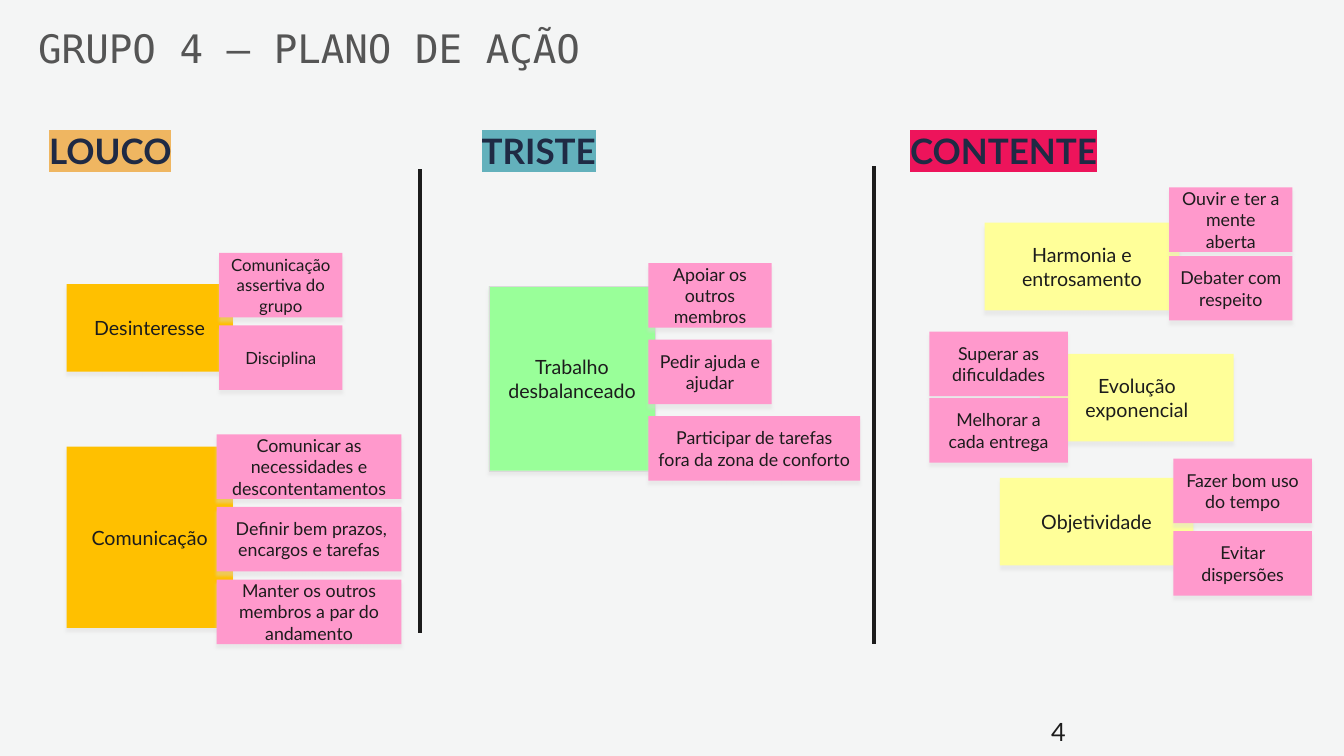
from dataclasses import dataclass

from lxml import etree
from pptx import Presentation
from pptx.dml.color import RGBColor
from pptx.enum.shapes import MSO_CONNECTOR, MSO_SHAPE
from pptx.enum.text import MSO_ANCHOR, PP_ALIGN
from pptx.oxml.ns import qn
from pptx.util import Pt


@dataclass(frozen=True)
class Theme:
    background: str = "F4F5F5"
    title: str = "555555"
    heading: str = "1F2A44"
    ink: str = "1C1C1C"
    shadow: str = "D9D9D9"
    orange: str = "FFC000"
    green: str = "99FF99"
    yellow: str = "FFFF99"
    pink: str = "FF99CC"
    louco: str = "EFB661"
    triste: str = "63B1BC"
    contente: str = "ED145B"
    title_font: str = "DejaVu Sans Mono"
    body_font: str = "Lato"
    title_size: float = 28
    heading_size: float = 25
    number_size: float = 18
    cause_size: float = 14
    action_size: float = 12.7
    small_action_size: float = 12


theme = Theme()

presentation = Presentation()
presentation.slide_width = Pt(960)
presentation.slide_height = Pt(540)
slide = presentation.slides.add_slide(presentation.slide_layouts[6])
slide.background.fill.solid()
slide.background.fill.fore_color.rgb = RGBColor.from_string(theme.background)


def write_text(shape, text, size, color, font=theme.body_font):
    shape.text_frame.word_wrap = True
    paragraph = shape.text_frame.paragraphs[0]
    paragraph.text = text
    run = paragraph.runs[0]
    run.font.size = Pt(size)
    run.font.color.rgb = RGBColor.from_string(color)
    run.font.name = font
    return paragraph


def add_note(box, text, size, color):
    note = slide.shapes.add_shape(MSO_SHAPE.RECTANGLE, *(Pt(length) for length in box))
    note.fill.solid()
    note.fill.fore_color.rgb = RGBColor.from_string(color)
    note.line.fill.background()
    note.shadow.inherit = False
    effects = note._element.spPr.find(qn("a:effectLst"))
    shadow = etree.SubElement(effects, qn("a:outerShdw"), blurRad=str(Pt(2)),
                              dist=str(Pt(3)), dir="5400000", rotWithShape="0")
    shadow_color = etree.SubElement(shadow, qn("a:srgbClr"), val=theme.shadow)
    etree.SubElement(shadow_color, qn("a:alpha"), val="40000")
    note.text_frame.vertical_anchor = MSO_ANCHOR.MIDDLE
    write_text(note, text, size, theme.ink).alignment = PP_ALIGN.CENTER
    return note


# Title
title = slide.shapes.add_textbox(Pt(20.2), Pt(13.7), Pt(774), Pt(89.3))
write_text(title, "GRUPO 4 – PLANO DE AÇÃO", theme.title_size, theme.title,
           theme.title_font).space_after = Pt(6)

# Column headings
for text, left, color in [("LOUCO", 28.1, theme.louco),
                          ("TRISTE", 337, theme.triste),
                          ("CONTENTE", 643, theme.contente)]:
    heading = slide.shapes.add_textbox(Pt(left), Pt(92.2), Pt(289), Pt(43))
    paragraph = write_text(heading, text, theme.heading_size, theme.heading)
    paragraph.line_spacing = 0.9
    paragraph.space_before = Pt(10)
    run = paragraph.runs[0]
    run.font.bold = True
    highlight = etree.Element(qn("a:highlight"))
    etree.SubElement(highlight, qn("a:srgbClr"), val=color)
    run.font._element.find(qn("a:solidFill")).addnext(highlight)

# Page number
page_number = slide.shapes.add_textbox(Pt(743.8), Pt(508.3), Pt(216), Pt(28.8))
write_text(page_number, "4", theme.number_size, theme.ink)

# Column dividers
for x, top, bottom in [(300.2, 121, 452.2), (624.2, 118.8, 460.1)]:
    divider = slide.shapes.add_connector(MSO_CONNECTOR.STRAIGHT,
                                         Pt(x), Pt(top), Pt(x), Pt(bottom))
    divider.line.width = Pt(3)
    divider.line.color.rgb = RGBColor.from_string(theme.ink)
    etree.SubElement(divider._element.spPr, qn("a:effectLst"))

# Causes: text, box, colour
causes = [
    ("Desinteresse", (47.5, 203, 118.8, 62.6), theme.orange),
    ("Comunicação", (47.5, 319, 118.8, 129.6), theme.orange),
    ("Trabalho desbalanceado", (349.2, 204.5, 118.8, 131.8), theme.green),
    ("Harmonia e entrosamento", (703.4, 159.1, 139, 62.6), theme.yellow),
    ("Evolução exponencial", (743, 252.7, 138.2, 62.6), theme.yellow),
    ("Objetividade", (714.2, 341.3, 138.2, 62.6), theme.yellow),
]
for text, box, color in causes:
    cause = add_note(box, text, theme.cause_size, color)
    if color == theme.green:
        cause.line.color.rgb = RGBColor.from_string(theme.shadow)
        cause.line.width = Pt(0.25)

# Action stacks: left, top, pitch, text size, then (text, width) from top to bottom
action_height = 46.1
stacks = [
    (156.6, 180.7, 51.84, theme.small_action_size,
     [("Comunicação assertiva do grupo", 88), ("Disciplina", 88)]),
    (154.8, 310.3, 51.84, theme.action_size,
     [("Comunicar as necessidades e descontentamentos", 132),
      (" Definir bem prazos, encargos e tarefas", 132),
      ("Manter os outros membros a par do andamento", 132)]),
    (463.2, 187.9, 54.7, theme.action_size,
     [("Apoiar os outros membros", 88), ("Pedir ajuda e ajudar", 88),
      ("Participar de tarefas fora da zona de conforto", 151.2)]),
    (835.2, 133.9, 49, theme.action_size,
     [("Ouvir e ter a mente aberta", 88), ("Debater com respeito", 88)]),
    (663.8, 236.9, 47.5, theme.action_size,
     [("Superar as dificuldades", 99), ("Melhorar a cada entrega", 99)]),
    (838.1, 327.6, 51.84, theme.action_size,
     [("Fazer bom uso do tempo", 99), ("Evitar dispersões", 99)]),
]
for left, top, pitch, size, actions in stacks:
    for row, (text, width) in enumerate(actions):
        add_note((left, top + row * pitch, width, action_height), text, size, theme.pink)

presentation.save("out.pptx")
